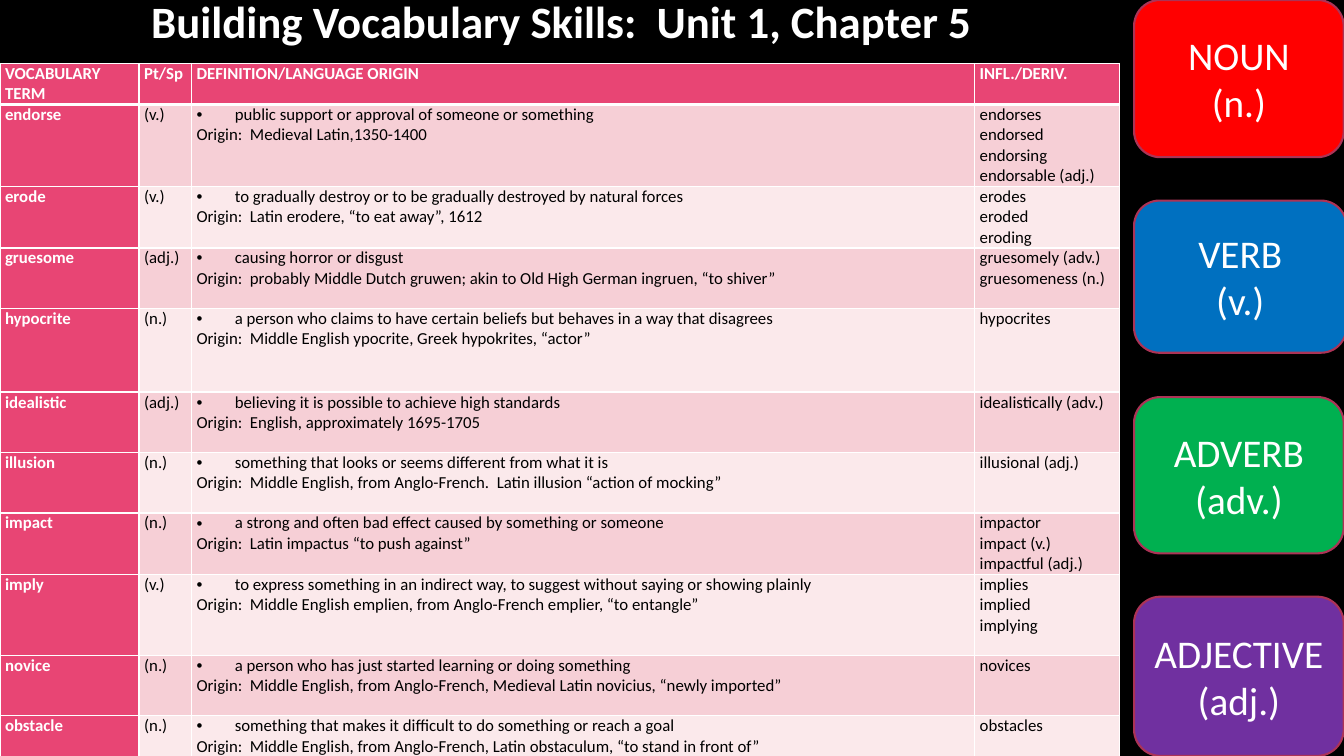
"""Build a vocabulary slide with a word table and a colour key for parts of speech."""
from lxml import etree
from pptx import Presentation
from pptx.dml.color import RGBColor
from pptx.enum.shapes import MSO_SHAPE
from pptx.enum.text import MSO_ANCHOR, MSO_AUTO_SIZE, PP_ALIGN
from pptx.oxml.ns import qn
from pptx.util import Inches, Pt

ROUNDED = MSO_SHAPE.ROUNDED_RECTANGLE
LEFT, CENTER = PP_ALIGN.LEFT, PP_ALIGN.CENTER
TOP, MIDDLE = MSO_ANCHOR.TOP, MSO_ANCHOR.MIDDLE
NO_FIT = MSO_AUTO_SIZE.NONE

COLORS = {
    "black": "000000", "white": "FFFFFF", "pink": "E84574",
    "rose": "F6CFD6", "blush": "FBE9EB", "outline": "AC3356",
    "red": "FF0000", "blue": "0070C0", "green": "00B050", "purple": "7030A0",
}
HEADINGS = ["VOCABULARY TERM", "Pt/Sp", "DEFINITION/LANGUAGE ORIGIN", "INFL./DERIV."]
WORDS = [
    ("endorse", "(v.)", "public support or approval of someone or something",
     "Medieval Latin,1350-1400", "endorses\nendorsed\nendorsing\nendorsable (adj.)"),
    ("erode", "(v.)", "to gradually destroy or to be gradually destroyed by natural forces",
     "Latin erodere, “to eat away”, 1612", "erodes\neroded\neroding"),
    ("gruesome", "(adj.)", "causing horror or disgust",
     "probably Middle Dutch gruwen; akin to Old High German ingruen, “to shiver”",
     "gruesomely (adv.)\ngruesomeness (n.)"),
    ("hypocrite", "(n.)",
     "a person who claims to have certain beliefs but behaves in a way that disagrees",
     "Middle English ypocrite, Greek hypokrites, “actor”", "hypocrites"),
    ("idealistic", "(adj.)", "believing it is possible to achieve high standards",
     "English, approximately 1695-1705", "idealistically (adv.)"),
    ("illusion", "(n.)", "something that looks or seems different from what it is",
     "Middle English, from Anglo-French.  Latin illusion “action of mocking”",
     "illusional (adj.)"),
    ("impact", "(n.)", "a strong and often bad effect caused by something or someone",
     "Latin impactus “to push against”", "impactor\nimpact (v.)\nimpactful (adj.)"),
    ("imply", "(v.)",
     "to express something in an indirect way, to suggest without saying or showing plainly",
     "Middle English emplien, from Anglo-French emplier, “to entangle”",
     "implies\nimplied\nimplying"),
    ("novice", "(n.)", "a person who has just started learning or doing something",
     "Middle English, from Anglo-French, Medieval Latin novicius, “newly imported”",
     "novices"),
    ("obstacle", "(n.)", "something that makes it difficult to do something or reach a goal",
     "Middle English, from Anglo-French, Latin obstaculum, “to stand in front of”",
     "obstacles"),
]
COLUMN_SHARES = [10.35, 3.9, 58.27, 10.8]
ROW_SHARES = [5.33, 10.67, 8, 8, 11.07, 8, 8, 8, 10.67, 8, 5.9]
SPEECH_PARTS = [
    ("NOUN\n(n.)", "red", 0, 15.6, 20.8),
    ("VERB\n(v.)", "blue", 26.53, 15.8, 20.13),
    ("ADVERB\n(adv.)", "green", 52.53, 15.6, 20.67),
    ("ADJECTIVE\n(adj.)", "purple", 78.93, 15.6, 21.07),
]


def color(name):
    return RGBColor.from_string(COLORS[name])


def write(frame, text, size=12, ink="black", bold=False, align=LEFT, bulleted=False):
    for index, line in enumerate(text.split("\n")):
        paragraph = frame.paragraphs[0] if index == 0 else frame.add_paragraph()
        paragraph.alignment = align
        if bulleted and index == 0:
            properties = paragraph._p.get_or_add_pPr()
            properties.set("marL", str(Inches(0.38)))
            properties.set("indent", str(-Inches(0.38)))
            etree.SubElement(properties, qn("a:buFont"), typeface="Arial")
            etree.SubElement(properties, qn("a:buChar"), char="•")
        run = paragraph.add_run()
        run.text = line
        run.font.name = "Calibri"
        run.font.size = Pt(size)
        run.font.bold = bold
        run.font.color.rgb = color(ink)


class VocabularySlide:
    """Place styled elements on one slide by percentages of its size."""

    def __init__(self, deck):
        self.deck = deck
        self.slide = deck.slides.add_slide(deck.slide_layouts[5])
        self.slide.background.fill.solid()
        self.slide.background.fill.fore_color.rgb = color("black")

    def across(self, share):
        return round(self.deck.slide_width * share / 100)

    def down(self, share):
        return round(self.deck.slide_height * share / 100)

    def box(self, left, top, width, height):
        return self.across(left), self.down(top), self.across(width), self.down(height)

    def title(self, text, *area):
        heading = self.slide.shapes.title
        heading.left, heading.top, heading.width, heading.height = self.box(*area)
        frame = heading.text_frame
        frame.auto_size = NO_FIT
        frame.word_wrap = False
        frame.vertical_anchor = TOP
        write(frame, text, size=32, ink="white", bold=True)

    def card(self, text, fill, *area):
        card = self.slide.shapes.add_shape(ROUNDED, *self.box(*area))
        card.shadow.inherit = False
        card.fill.solid()
        card.fill.fore_color.rgb = color(fill)
        card.line.color.rgb = color("outline")
        card.line.width = Pt(1.5)
        card.text_frame.word_wrap = True
        card.text_frame.vertical_anchor = MIDDLE
        write(card.text_frame, text, size=28, ink="white", align=CENTER)

    def borders(self, cell, **widths):
        properties = cell._tc.get_or_add_tcPr()
        for side in "LRTB":
            line = etree.SubElement(properties, qn(f"a:ln{side}"), w=str(Pt(widths.get(side, 1))))
            fill = etree.SubElement(line, qn("a:solidFill"))
            etree.SubElement(fill, qn("a:srgbClr"), val=COLORS["white"])

    def cell(self, cell, text, fill, widths, **style):
        cell.margin_left = cell.margin_right = Inches(0.05)
        cell.margin_top = cell.margin_bottom = 0
        self.borders(cell, **widths)
        cell.fill.solid()
        cell.fill.fore_color.rgb = color(fill)
        write(cell.text_frame, text, **style)

    def table(self, rows, left, top):
        area = self.box(left, top, sum(COLUMN_SHARES), sum(ROW_SHARES))
        grid = self.slide.shapes.add_table(len(rows), len(COLUMN_SHARES), *area).table
        for column, share in zip(grid.columns, COLUMN_SHARES):
            column.width = self.across(share)
        for row, share in zip(grid.rows, ROW_SHARES):
            row.height = self.down(share)
        for r, row in enumerate(rows):
            widths = {0: {"B": 3}, 1: {"T": 3}}.get(r, {})
            band = "rose" if r % 2 else "blush"
            for c, text in enumerate(row):
                strong = r == 0 or c == 0
                self.cell(grid.cell(r, c), text, "pink" if strong else band, widths,
                          ink="white" if strong else "black", bold=strong,
                          bulleted=r > 0 and c == 2)


def main():
    deck = Presentation()
    deck.slide_width, deck.slide_height = Inches(13.33), Inches(7.5)
    page = VocabularySlide(deck)
    for text, fill, top, width, height in SPEECH_PARTS:
        page.card(text, fill, 84.38, top, width, height)
    page.title("Building Vocabulary Skills:  Unit 1, Chapter 5", 10.5, -1.47, 63.1, 8.53)
    entries = [(term, part, f"{meaning}\nOrigin:  {origin}", forms)
               for term, part, meaning, origin, forms in WORDS]
    page.table([HEADINGS, *entries], 0, 8.4)
    deck.save("out.pptx")


if __name__ == "__main__":
    main()
